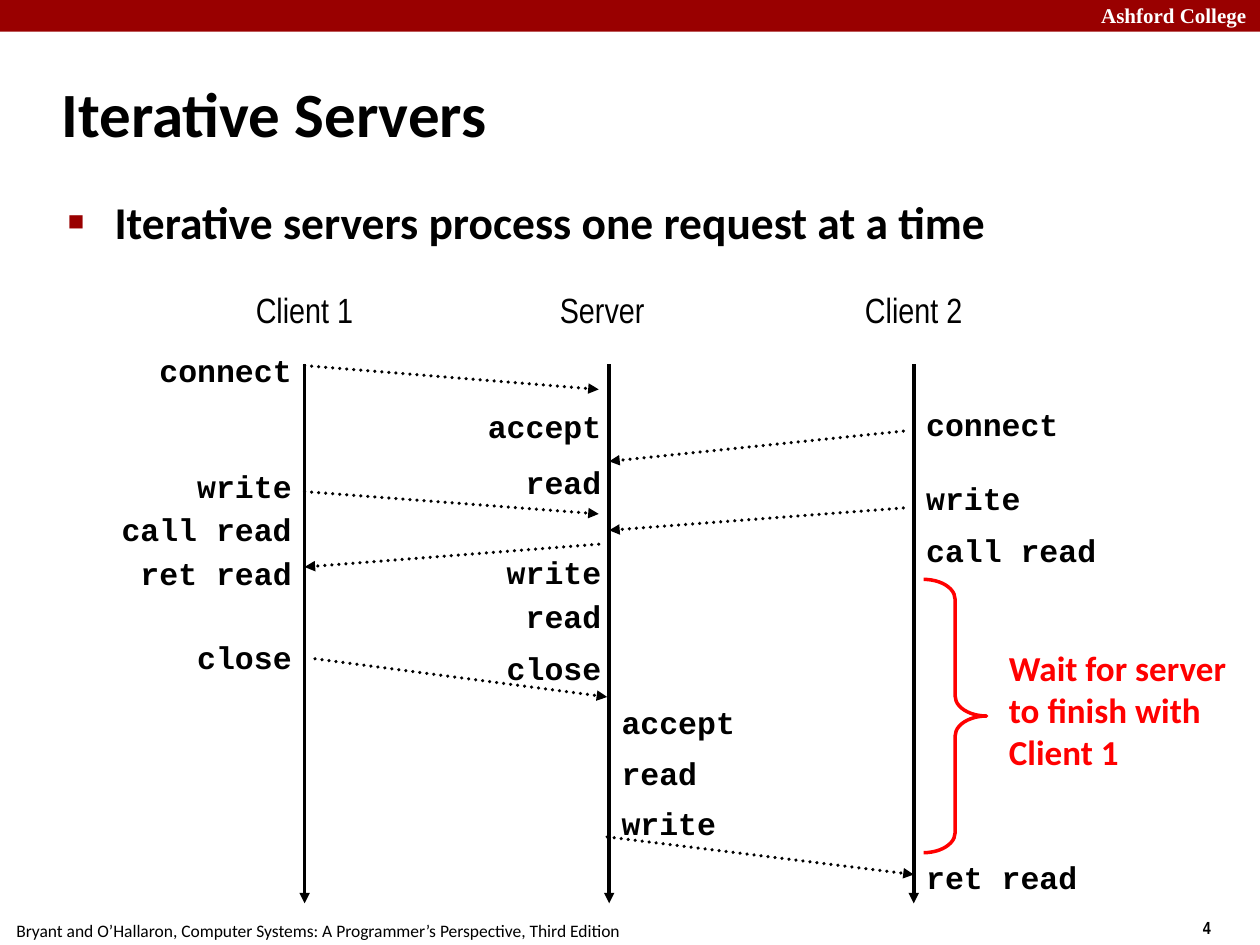
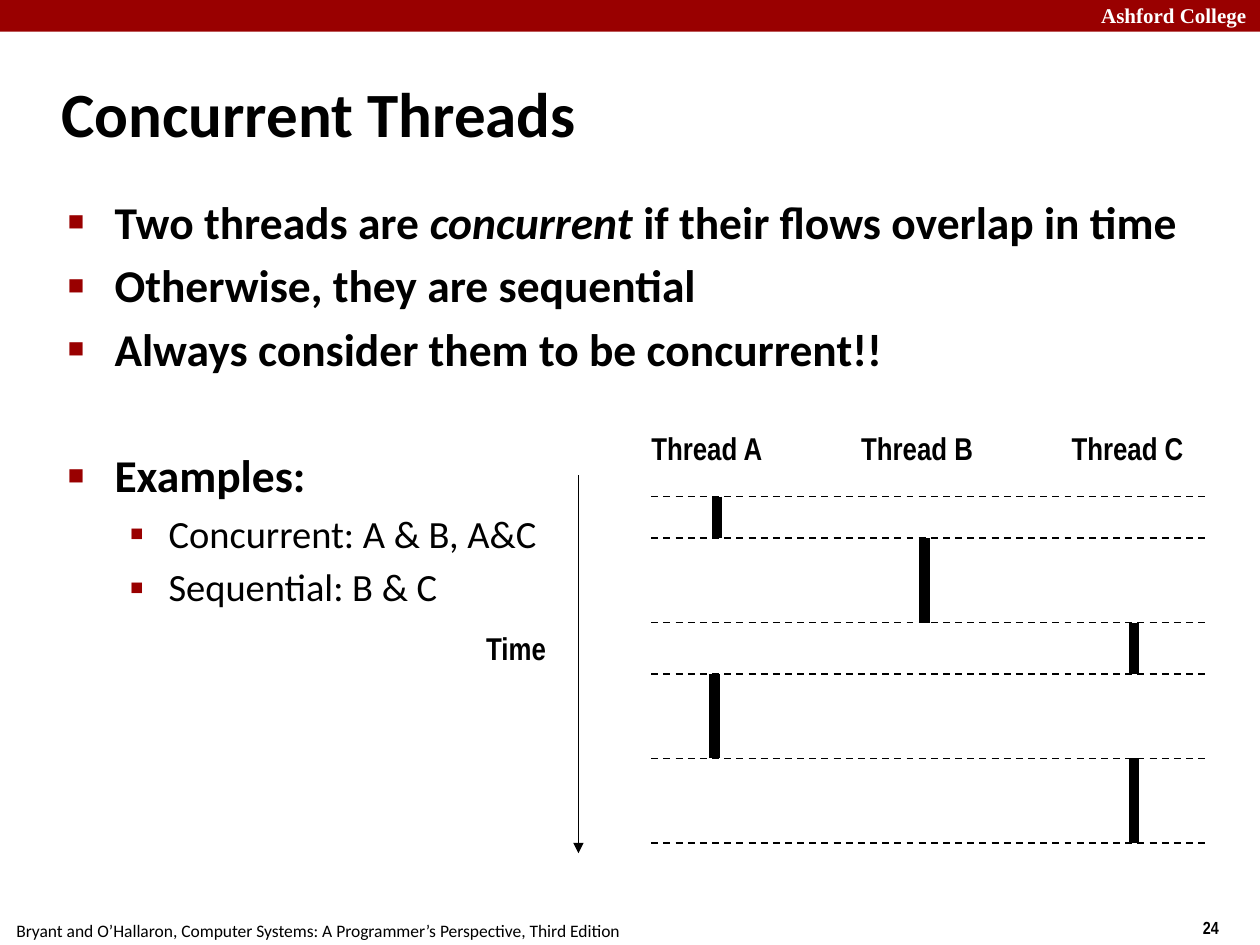
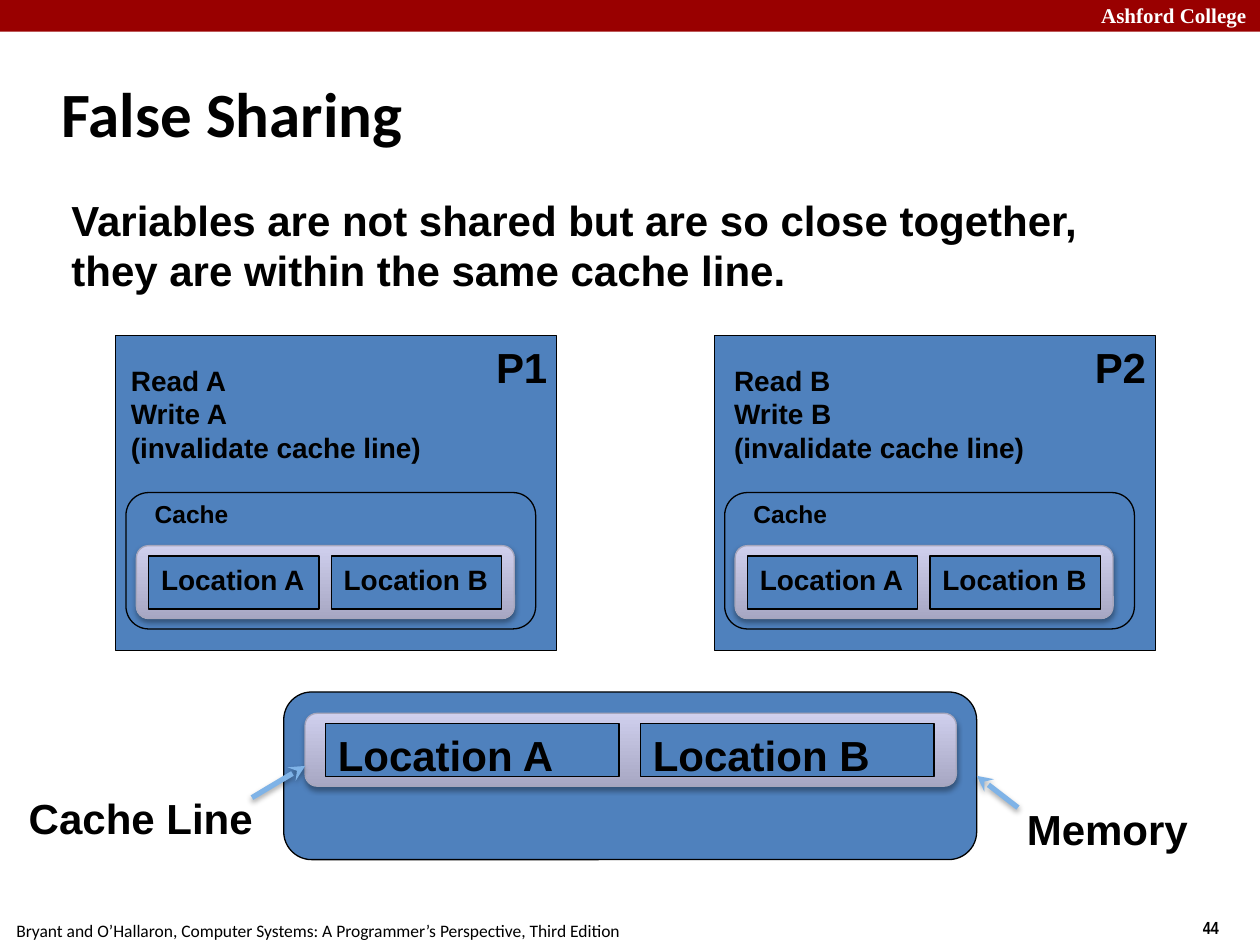
from lxml.etree import SubElement
from pptx import Presentation
from pptx.dml.color import RGBColor
from pptx.enum.dml import MSO_LINE
from pptx.enum.shapes import MSO_CONNECTOR, MSO_SHAPE
from pptx.enum.text import MSO_ANCHOR, PP_ALIGN
from pptx.oxml import parse_xml
from pptx.oxml.ns import nsdecls, qn
from pptx.util import Cm, Pt

COLOURS = {
    "black": "000000",
    "white": "FFFFFF",
    "crimson": "990000",
    "red": "FF0000",
    "blue": "4F81BD",
    "sky": "7FB3E7",
    "lilac": "CFCFED",
    "mauve": "A7A7C3",
    "grey": "A6A6BC",
}
SHADOW = (
    f'<a:outerShdw {nsdecls("a")} blurRad="40000" dist="23000" dir="5400000" rotWithShape="0">'
    '<a:srgbClr val="000000"><a:alpha val="35000"/></a:srgbClr></a:outerShdw>'
)
FOOTER = "Bryant and O’Hallaron, Computer Systems: A Programmer’s Perspective, Third Edition"


def place(page, bounds, text="", size=18, font="Arial", colour="black", bold=True, align=PP_ALIGN.LEFT,
          anchor=MSO_ANCHOR.TOP, preset=None, fill=None, outline=None, width=0.75):
    lengths = [Cm(value) for value in bounds]
    if preset is None:
        box = page.shapes.add_textbox(*lengths)
    else:
        box = page.shapes.add_shape(preset, *lengths)
        box.shadow.inherit = False
        if fill:
            box.fill.solid()
            box.fill.fore_color.rgb = RGBColor.from_string(COLOURS[fill])
        else:
            box.fill.background()
        if outline:
            box.line.color.rgb = RGBColor.from_string(COLOURS[outline])
            box.line.width = Pt(width)
        else:
            box.line.fill.background()
    if text:
        frame = box.text_frame
        frame.text = text
        frame.word_wrap = True
        frame.vertical_anchor = anchor
        for para in frame.paragraphs:
            para.alignment = align
            for span in para.runs:
                span.font.size = Pt(size)
                span.font.name = font
                span.font.bold = bold
                span.font.color.rgb = RGBColor.from_string(COLOURS[colour])
    return box


def draw_line(page, start, end, width, colour="black", dash=None, arrow=None):
    line = page.shapes.add_connector(MSO_CONNECTOR.STRAIGHT, *[Cm(value) for value in (*start, *end)])
    line.line.color.rgb = RGBColor.from_string(COLOURS[colour])
    line.line.width = Pt(width)
    properties = line._element.spPr
    stroke = properties.find(qn("a:ln"))
    if dash:
        line.line.dash_style = dash
    if dash == MSO_LINE.ROUND_DOT:
        stroke.set("cap", "rnd")
    if arrow:
        SubElement(stroke, qn("a:tailEnd"), type=arrow)
    SubElement(properties, qn("a:effectLst"))
    return line


deck = Presentation()
deck.slide_width = Cm(25.4)
deck.slide_height = Cm(19.05)

outlines = [
    ("Iterative Servers", "4", 21.95, [(0, "Iterative servers process one request at a time", 5.2)]),
    ("Concurrent Threads", "24", 23.29, [
        (0, "Two threads are *concurrent* if their flows overlap in time", 5.2),
        (0, "Otherwise, they are sequential", 5.2),
        (0, "Always consider them to be concurrent!!", 5.2),
        (0, "Examples:", 41),
        (1, "Concurrent: A & B, A&C", 4.4),
        (1, "Sequential: B & C", 4.4),
    ]),
    ("False Sharing", "44", 0, []),
]
bullet_styles = [
    {"size": 26, "bold": True, "margin": 0.97, "indent": -0.94, "char": "■", "percent": "60000"},
    {"size": 22, "bold": False, "margin": 2.06, "indent": -0.79, "char": "▪", "percent": "110000"},
]

pages = []
for title, number, body_width, bullets in outlines:
    page = deck.slides.add_slide(deck.slide_layouts[6])
    pages.append(page)
    place(page, (0, 0, 25.4, 0.64), preset=MSO_SHAPE.RECTANGLE, fill="crimson")
    place(page, (21.95, -0.08, 3.63, 0.76), "Ashford College", 12, "Times New Roman", "white")
    place(page, (24, 18.36, 1.4, 0.69), number, 10, "Arial Narrow")
    place(page, (0.08, 18.42, 14, 0.69), FOOTER, 10, "Calibri", bold=False)
    place(page, (0.99, 1.2, 21.08, 2.11), title, 36, "Calibri", anchor=MSO_ANCHOR.MIDDLE)
    if not bullets:
        continue
    body = place(page, (1.09, 3.78, body_width, 13.82)).text_frame
    body.word_wrap = True
    for index, (level, text, gap) in enumerate(bullets):
        style = bullet_styles[level]
        para = body.add_paragraph() if index else body.paragraphs[0]
        para.level = level
        para.space_before = Pt(gap)
        for part, piece in enumerate(text.split("*")):
            span = para.add_run()
            span.text = piece
            span.font.size = Pt(style["size"])
            span.font.name = "Calibri"
            span.font.bold = style["bold"]
            span.font.italic = part == 1
            span.font.color.rgb = RGBColor.from_string(COLOURS["black"])
        properties = para._p.get_or_add_pPr()
        properties.set("marL", str(Cm(style["margin"])))
        properties.set("indent", str(Cm(style["indent"])))
        SubElement(SubElement(properties, qn("a:buClr")), qn("a:srgbClr"), val=COLOURS["crimson"])
        SubElement(properties, qn("a:buSzPct"), val=style["percent"])
        SubElement(properties, qn("a:buFont"), typeface="Arial")
        SubElement(properties, qn("a:buChar"), char=style["char"])

servers, threads, sharing = pages

for name, centre, lane in [("Client 1", 6.14, 6.14), ("Server", 12.14, 12.28), ("Client 2", 18.42, 18.42)]:
    place(servers, (centre - 2, 5.69, 4, 1.09), name, 20, "Arial Narrow", bold=False, align=PP_ALIGN.CENTER)
    draw_line(servers, (lane, 7.34), (lane, 18.21), 2, arrow="triangle")

label_width = 5
call_columns = [
    (6.13 - label_width, PP_ALIGN.RIGHT, [
        ("connect", 6.96), ("write", 9.3), ("call read", 10.16), ("ret read", 11.05), ("close", 12.73)]),
    (12.37 - label_width, PP_ALIGN.RIGHT, [
        ("accept", 8.08), ("read", 9.2), ("write", 11.02), ("read", 11.91), ("close", 12.95)]),
    (12.28, PP_ALIGN.LEFT, [("accept", 14.05), ("read", 15.08), ("write", 16.08)]),
    (18.42, PP_ALIGN.LEFT, [
        ("connect", 8.05), ("write", 9.53), ("call read", 10.59), ("ret read", 17.17)]),
]
for left, align, calls in call_columns:
    for call, top in calls:
        place(servers, (left, top, label_width, 1.02), call, 18, "Courier New", align=align)

messages = [
    ((6.14, 7.37), (12.07, 7.85)),
    ((18.21, 8.69), (12.28, 9.3)),
    ((6.14, 9.91), (12.07, 10.36)),
    ((18.21, 10.24), (12.28, 10.69)),
    ((12.07, 10.97), (6.14, 11.43)),
    ((6.35, 13.28), (12.24, 14.05)),
    ((12.24, 16.87), (18.42, 17.63)),
]
for start, end in messages:
    draw_line(servers, start, end, 2, dash=MSO_LINE.ROUND_DOT, arrow="triangle")

brace = place(servers, (18.62, 11.68, 1.27, 5.51), preset=MSO_SHAPE.RIGHT_BRACE, outline="red", width=2)
brace.adjustments[0] = 0.317
place(servers, (20.09, 12.9, 5.31, 2.79), "Wait for server to finish with Client 1", 20, "Calibri", "red")

draw_line(threads, (11.66, 9.58), (11.66, 17.2), 1, arrow="triangle")
place(threads, (9.55, 12.55, 2.1, 1.02), "Time", 18, "Arial Narrow")
for index, letter in enumerate("ABC"):
    place(threads, (12.25 + index * 4.24, 8.52, 4, 1.02), f"Thread {letter}", 18, "Arial Narrow",
          align=PP_ALIGN.CENTER)
switch_times = [10.01, 10.85, 12.55, 13.59, 15.29, 16.99]
running = [14.45, 18.64, 22.86, 14.4, 22.86]
for x, start, end in zip(running, switch_times, switch_times[1:]):
    draw_line(threads, (x, start), (x, end), 6)
for time in switch_times:
    draw_line(threads, (13.13, time), (24.36, time), 1, dash=MSO_LINE.DASH)

place(sharing, (1.19, 3.79, 22, 3.3),
      "Variables are not shared but are so close together,\nthey are within the same cache line.", 24)
memory = place(sharing, (5.72, 13.95, 13.97, 3.38), preset=MSO_SHAPE.ROUNDED_RECTANGLE,
               fill="blue", outline="black")
cache_lines = [((6.15, 14.38, 13.13, 1.47), 6.56, 5.92, 6.35, 24)]
for name, variable, shift, note_left in [("P1", "A", 0, 2.39), ("P2", "B", 12.07, 14.55)]:
    place(sharing, (2.33 + shift, 6.76, 8.89, 6.35), preset=MSO_SHAPE.RECTANGLE, fill="blue", outline="black")
    place(sharing, (2.54 + shift, 9.93, 8.26, 2.75), preset=MSO_SHAPE.ROUNDED_RECTANGLE,
          fill="blue", outline="black")
    place(sharing, (2.87 + shift, 9.93, 3, 0.84), "Cache", 14)
    place(sharing, (9.75 + shift, 6.76, 2.2, 1.27), name, 24)
    place(sharing, (note_left, 7.2, 7.3, 2.29),
          f"Read {variable}\nWrite {variable}\n(invalidate cache line)", 16)
    cache_lines.append(((2.75 + shift, 11, 7.62, 1.47), 3 + shift, 3.43, 3.68, 16))

raised = []
for bounds, cell_left, cell_width, step, size in cache_lines:
    cache_line = place(sharing, bounds, preset=MSO_SHAPE.ROUNDED_RECTANGLE, outline="grey")
    cache_line.fill.gradient()
    cache_line.fill.gradient_angle = 270
    for stop, colour in zip(cache_line.fill.gradient_stops, ("lilac", "mauve")):
        stop.color.rgb = RGBColor.from_string(COLOURS[colour])
    raised.append(cache_line)
    for index, letter in enumerate("AB"):
        place(sharing, (cell_left + index * step, bounds[1] + 0.21, cell_width, 1.07), f"Location {letter}", size,
              preset=MSO_SHAPE.RECTANGLE, fill="blue", outline="black")

place(sharing, (0.33, 15.86, 5.6, 1.27), "Cache Line", 24)
place(sharing, (20.45, 16.08, 4.6, 1.27), "Memory", 24)
raised.append(draw_line(sharing, (5.08, 16.08), (6.15, 15.44), 3, "sky", arrow="stealth"))
memory_arrow = draw_line(sharing, (20.52, 16.28), (19.69, 15.64), 3, "sky", arrow="stealth")
memory_arrow.end_connect(memory, 3)
raised.append(memory_arrow)
for shape in raised:
    shape._element.spPr.find(qn("a:effectLst")).append(parse_xml(SHADOW))

deck.save("out.pptx")
